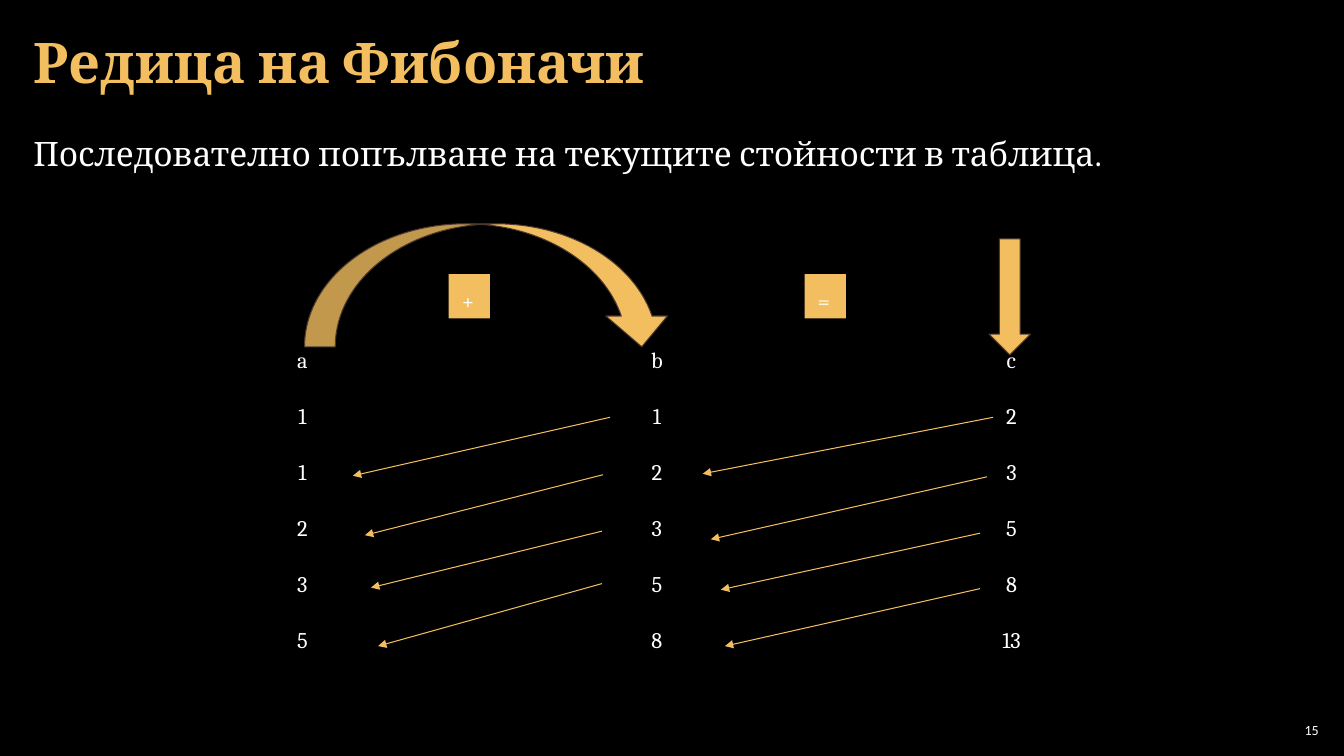
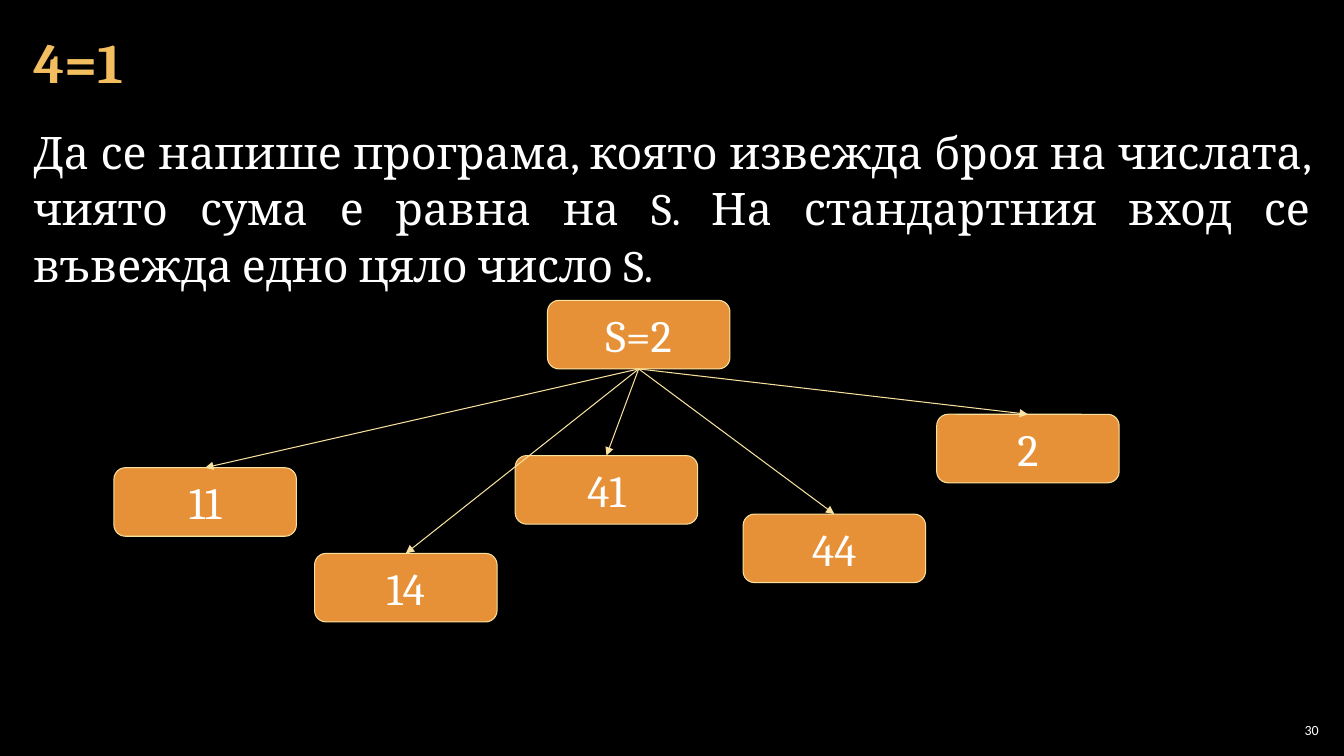
from lxml.etree import SubElement
from pptx import Presentation
from pptx.dml.color import RGBColor
from pptx.enum.shapes import MSO_CONNECTOR, MSO_SHAPE as Preset
from pptx.enum.text import MSO_ANCHOR as Anchor, PP_ALIGN as Align
from pptx.oxml.ns import qn
from pptx.util import Inches, Pt

BLACK = RGBColor(0x00, 0x00, 0x00)
WHITE = RGBColor(0xFF, 0xFF, 0xFF)
GOLD = RGBColor(0xF3, 0xBE, 0x60)
BROWN = RGBColor(0x4E, 0x3B, 0x30)
ORANGE = RGBColor(0xE6, 0x91, 0x38)
CREAM = RGBColor(0xF8, 0xE1, 0x9F)
SERIF = "Cambria"
SANS = "Calibri"
NO_GRID_STYLE = "{2D5ABB26-0587-4C30-8999-92F81FD0307C}"


class Deck:
    """Holds the shared style and the slide being built."""

    def __init__(self):
        self.presentation = Presentation()
        self.presentation.slide_width = Inches(13.33)
        self.presentation.slide_height = Inches(7.5)
        fill = self.presentation.slide_master.background.fill
        fill.solid()
        fill.fore_color.rgb = BLACK
        self.slide = None

    def set_text(self, frame, text, size, align=Align.LEFT, anchor=Anchor.TOP,
                 inset=(0.13, 0.13), color=WHITE, font=SERIF, bold=False):
        frame.word_wrap = True
        frame.vertical_anchor = anchor
        frame.margin_left = frame.margin_right = Inches(inset[0])
        frame.margin_top = frame.margin_bottom = Inches(inset[1])
        paragraph = frame.paragraphs[0]
        paragraph.text = text
        paragraph.alignment = align
        paragraph.font.name = font
        paragraph.font.size = Pt(size)
        paragraph.font.bold = bold
        paragraph.font.color.rgb = color
        return paragraph

    def text(self, box, text, size, **style):
        shape = self.slide.shapes.add_textbox(*map(Inches, box))
        return self.set_text(shape.text_frame, text, size, **style)

    def new_slide(self, title, number):
        self.slide = self.presentation.slides.add_slide(self.presentation.slide_layouts[6])
        heading = self.text((0.21, 0.04, 12.91, 1.21), title, 40, anchor=Anchor.MIDDLE,
                            inset=(0.12, 0.04), color=GOLD, bold=True)
        heading.line_spacing = 0.9
        self.text((12.65, 7.14, 0.47, 0.21), str(number), 10, align=Align.RIGHT,
                  anchor=Anchor.MIDDLE, inset=(0.04, 0.04), font=SANS)

    def body(self, top, text, size):
        paragraph = self.text((0.21, top, 12.91, 6.09), text, size,
                              align=Align.JUSTIFY, inset=(0.12, 0.04))
        paragraph.line_spacing = 1.05
        paragraph.space_after = Pt(6)

    def shape(self, preset, box, fill, line=None):
        shape = self.slide.shapes.add_shape(preset, *map(Inches, box))
        shape.shadow.inherit = False
        shape.fill.solid()
        shape.fill.fore_color.rgb = fill
        if line is None:
            shape.line.fill.background()
        else:
            shape.line.color.rgb = line
            shape.line.width = Pt(0.75)
        return shape

    def operator(self, left, sign):
        shape = self.shape(Preset.RECTANGLE, (left, 2.72, 0.41, 0.44), GOLD)
        self.set_text(shape.text_frame, sign, 16)

    def node(self, left, top, label):
        shape = self.shape(Preset.ROUNDED_RECTANGLE, (left, top, 1.81, 0.68), ORANGE, CREAM)
        self.set_text(shape.text_frame, label, 32, align=Align.CENTER, anchor=Anchor.MIDDLE)
        return shape

    def arrow(self, start, end, color):
        connector = self.slide.shapes.add_connector(
            MSO_CONNECTOR.STRAIGHT, *map(Inches, (*start, *end)))
        connector.line.color.rgb = color
        connector.line.width = Pt(0.75)
        properties = connector.element.spPr
        SubElement(properties.find(qn("a:ln")), qn("a:tailEnd"), type="triangle")
        SubElement(properties, qn("a:effectLst"))
        return connector

    def branch(self, parent, child):
        connector = self.arrow((0, 0), (1, 1), CREAM)
        connector.begin_connect(parent, 2)
        connector.end_connect(child, 0)

    def table(self, box, rows):
        frame = self.slide.shapes.add_table(len(rows), len(rows[0]), *map(Inches, box))
        table = frame.table
        table.first_row = table.horz_banding = False
        frame.element.find(".//" + qn("a:tableStyleId")).text = NO_GRID_STYLE
        for row_index, row in enumerate(rows):
            for column_index, value in enumerate(row):
                cell = table.cell(row_index, column_index)
                cell.fill.background()
                cell.margin_left = cell.margin_right = Inches(0.13)
                cell.margin_top = cell.margin_bottom = Inches(0.13)
                paragraph = cell.text_frame.paragraphs[0]
                paragraph.text = str(value)
                paragraph.alignment = Align.CENTER
                paragraph.font.name = SERIF
                paragraph.font.size = Pt(16)
                paragraph.font.color.rgb = WHITE


def fibonacci_slide(deck):
    deck.new_slide("Редица на Фибоначи", 15)
    deck.body(1.26, "Последователно попълване на текущите стойности в таблица.", 24)
    sequence = [1, 1, 2, 3, 5, 8, 13]
    triples = list(zip(sequence, sequence[1:], sequence[2:]))
    deck.table((1.24, 3.33, 10.55, 3.33), [("a", "b", "c"), *triples])
    deck.shape(Preset.CURVED_DOWN_ARROW, (3.02, 2.22, 3.65, 1.22), GOLD, BROWN)
    deck.operator(4.45, "+")
    deck.operator(7.98, "=")
    deck.shape(Preset.DOWN_ARROW, (9.81, 2.37, 0.41, 1.15), GOLD, BROWN)
    shifts = [
        ((9.85, 4.14), (6.97, 4.7)), ((6.05, 4.14), (3.5, 4.72)),
        ((9.79, 4.73), (7.05, 5.35)), ((5.98, 4.71), (3.62, 5.31)),
        ((9.72, 5.29), (7.15, 5.85)), ((5.97, 5.27), (3.68, 5.83)),
        ((9.72, 5.84), (7.19, 6.41)), ((5.97, 5.79), (3.75, 6.41)),
    ]
    for start, end in shifts:
        deck.arrow(start, end, GOLD)


def sum_slide(deck):
    deck.new_slide("4=1", 30)
    deck.body(1.17, "Да се напише програма, която извежда броя на числата, чиято сума "
                    "е равна на S. На стандартния вход се въвежда едно цяло число S.", 32)
    root = deck.node(5.43, 2.98, "S=2")
    leaves = [(1.13, 4.64, "11"), (3.12, 5.49, "14"), (5.11, 4.52, "41"),
              (7.37, 5.1, "44"), (9.29, 4.11, "2")]
    children = [deck.node(*leaf) for leaf in leaves]
    for child in children:
        deck.branch(root, child)


def main():
    deck = Deck()
    fibonacci_slide(deck)
    sum_slide(deck)
    deck.presentation.save("out.pptx")


if __name__ == "__main__":
    main()
